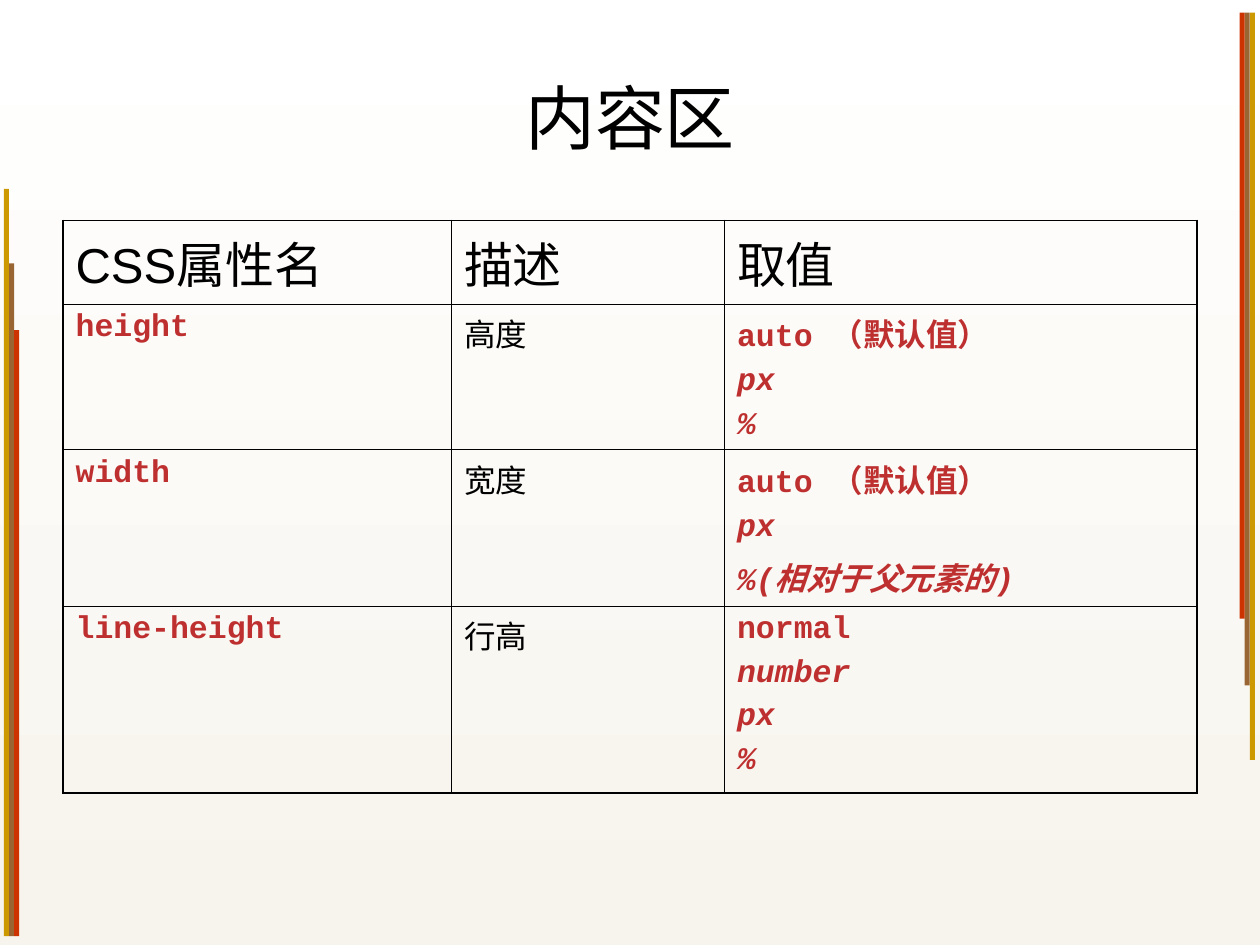
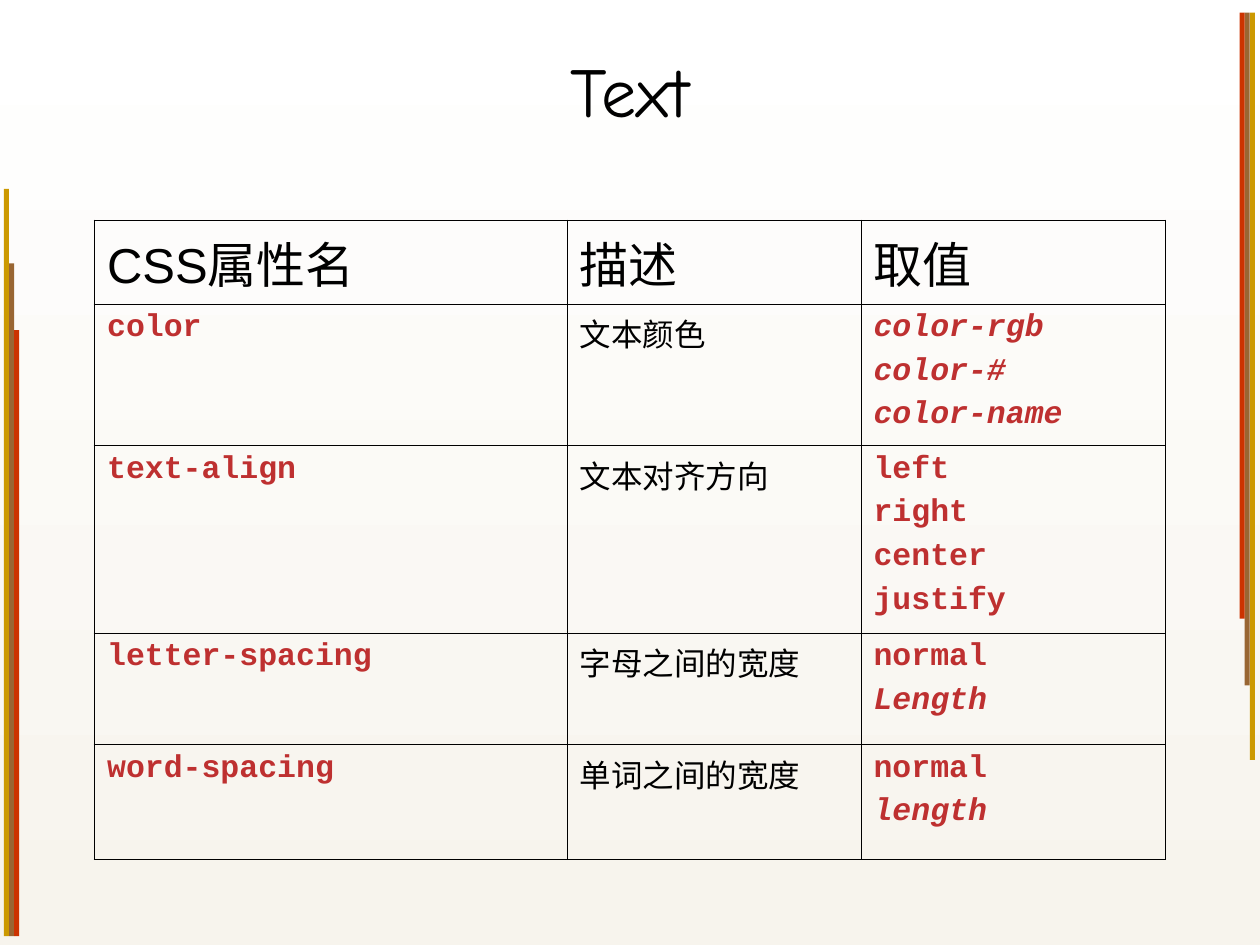
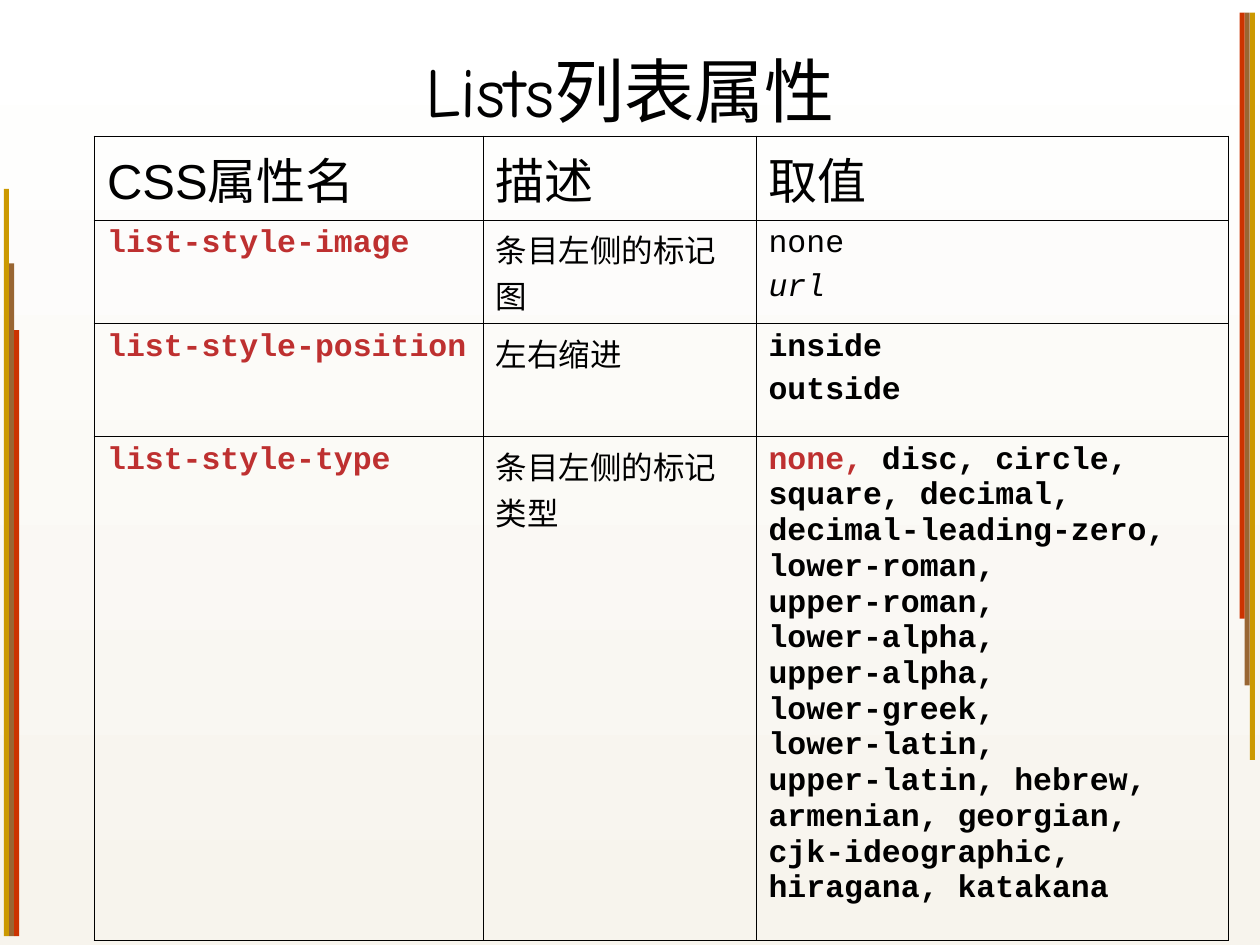
from collections import namedtuple

from lxml.etree import SubElement
from pptx import Presentation
from pptx.dml.color import RGBColor
from pptx.enum.shapes import MSO_SHAPE
from pptx.enum.text import MSO_ANCHOR, PP_ALIGN
from pptx.oxml.ns import qn
from pptx.util import Pt

# Colours
BLACK = RGBColor(0x00, 0x00, 0x00)
RED = RGBColor(0xBE, 0x30, 0x30)
WHITE = RGBColor(0xFF, 0xFF, 0xFF)
CREAM = RGBColor(0xF7, 0xF4, 0xED)
GOLD = RGBColor(0xCC, 0x99, 0x00)
BROWN = RGBColor(0x99, 0x66, 0x33)
ORANGE = RGBColor(0xCC, 0x33, 0x00)

# Text styles
Style = namedtuple("Style", "font size color bold italic")
TITLE = Style("Comic Neue", 40, BLACK, False, False)
HEADER = Style("Arial", 28, BLACK, False, False)
DESCRIPTION = Style("Arial", 18, BLACK, False, False)
CODE = Style("Courier New", 18, RED, True, False)
VARIABLE = CODE._replace(italic=True)
BLACK_CODE = CODE._replace(color=BLACK)
PLAIN_CODE = BLACK_CODE._replace(bold=False)
PLAIN_VARIABLE = PLAIN_CODE._replace(italic=True)

# Shared measures, in points
SLIDE_SIZE = (720, 540)
BARS = [(GOLD, 427), (BROWN, 384.5), (ORANGE, 346.3)]
BAR_WIDTH = 2.9
LEFT_BARS_X, LEFT_BARS_BOTTOM = 2.3, 535
RIGHT_BARS_X, RIGHT_BARS_TOP = 714.2, 7.2
TITLE_HEIGHT = 90
PARAGRAPH_GAP = 4.5
OUTER_LINE, INNER_LINE = 1.08, 0.45

HEADINGS = ["CSS属性名", "描述", "取值"]
LIST_TYPES = """disc, circle, square, decimal, decimal-leading-zero, lower-roman,
upper-roman,
lower-alpha,
upper-alpha,
lower-greek,
lower-latin,
upper-latin, hebrew, armenian, georgian, cjk-ideographic,
hiragana, katakana"""

# Table rows: property, description, values (a value is a list of runs)
BOX_ROWS = [
    ("height", "高度",
     [[("auto （默认值）", CODE)], [("px", VARIABLE)], [("%", VARIABLE)]]),
    ("width", "宽度",
     [[("auto （默认值）", CODE)], [("px", VARIABLE)],
      [("%(相对于父元素的)", VARIABLE)]]),
    ("line-height", "行高",
     [[("normal", CODE)], [("number", VARIABLE)], [("px", VARIABLE)],
      [("%", VARIABLE)]]),
]
TEXT_ROWS = [
    ("color", "文本颜色",
     [[(t, VARIABLE)] for t in ("color-rgb", "color-#", "color-name")]),
    ("text-align", "文本对齐方向",
     [[(t, CODE)] for t in ("left", "right", "center", "justify")]),
    ("letter-spacing", "字母之间的宽度",
     [[("normal", CODE)], [("Length", VARIABLE)]]),
    ("word-spacing", "单词之间的宽度",
     [[("normal", CODE)], [("length", VARIABLE)]]),
]
LIST_ROWS = [
    ("list-style-image", "条目左侧的标记图",
     [[("none", PLAIN_CODE)], [("url", PLAIN_VARIABLE)]]),
    ("list-style-position", "左右缩进",
     [[("inside", BLACK_CODE)], [("outside", BLACK_CODE)]]),
    ("list-style-type", "条目左侧的标记类型",
     [[("none, ", CODE), (LIST_TYPES, BLACK_CODE)]]),
]


def set_font(font, style):
    font.name = style.font
    font.size = Pt(style.size)
    font.color.rgb = style.color
    font.bold = style.bold
    font.italic = style.italic


def write_runs(p, runs):
    """Write (text, style) runs; the first style serves the whole paragraph."""
    base = runs[0][1]
    set_font(p.font, base)
    for text, style in runs:
        for i, line in enumerate(text.split("\n")):
            if i:
                p.add_line_break()
            r = p.add_run()
            r.text = line
            if style != base:
                set_font(r.font, style)


def set_borders(cell, widths):
    tc_pr = cell._tc.get_or_add_tcPr()
    for side, width in zip("LRTB", widths):
        ln = SubElement(tc_pr, qn(f"a:ln{side}"), w=str(Pt(width)))
        fill = SubElement(ln, qn("a:solidFill"))
        SubElement(fill, qn("a:srgbClr"), val=str(BLACK))


def fill_cell(cell, paragraphs, widths):
    set_borders(cell, widths)
    cell.fill.background()
    tf = cell.text_frame
    for i, runs in enumerate(paragraphs):
        p = tf.add_paragraph() if i else tf.paragraphs[0]
        if i:
            p.space_before = Pt(PARAGRAPH_GAP)
        write_runs(p, runs)


def add_property_table(s, left, top, col_widths, row_heights, rows):
    cells = [[[[(t, HEADER)]] for t in HEADINGS]]
    cells += [[[[(name, CODE)]], [[(text, DESCRIPTION)]], values]
              for name, text, values in rows]
    table = s.shapes.add_table(
        len(cells), len(col_widths), Pt(left), Pt(top),
        Pt(sum(col_widths)), Pt(sum(row_heights))).table
    table.first_row = table.horz_banding = False
    for column, width in zip(table.columns, col_widths):
        column.width = Pt(width)
    for row, height in zip(table.rows, row_heights):
        row.height = Pt(height)
    last_row, last_col = len(cells) - 1, len(col_widths) - 1
    for i, row in enumerate(cells):
        for j, paragraphs in enumerate(row):
            edges = (j == 0, j == last_col, i == 0, i == last_row)
            widths = [OUTER_LINE if e else INNER_LINE for e in edges]
            fill_cell(table.cell(i, j), paragraphs, widths)


def add_title_slide(prs, title, left, top):
    s = prs.slides.add_slide(prs.slide_layouts[5])
    sp = s.shapes.title
    sp.left, sp.top = Pt(left), Pt(top)
    sp.width, sp.height = Pt(SLIDE_SIZE[0] - 2 * left), Pt(TITLE_HEIGHT)
    tf = sp.text_frame
    tf.vertical_anchor = MSO_ANCHOR.MIDDLE
    p = tf.paragraphs[0]
    p.alignment = PP_ALIGN.CENTER
    write_runs(p, [(title, TITLE)])
    return s


def add_bar(group, left, top, height, color):
    sp = group.shapes.add_shape(
        MSO_SHAPE.RECTANGLE, Pt(left), Pt(top), Pt(BAR_WIDTH), Pt(height))
    sp.shadow.inherit = False
    sp.fill.solid()
    sp.fill.fore_color.rgb = color
    sp.line.fill.background()


def decorate_master(prs, s):
    """Give the master its background and the two groups of side bars."""
    master = prs.slide_master
    fill = master.background.fill
    fill.gradient()
    fill.gradient_angle = 270
    for stop, color, position in zip(fill.gradient_stops, (WHITE, CREAM), (0, 1)):
        stop.color.rgb = color
        stop.position = position

    # Groups are drawn on a slide, then moved behind the master's placeholders
    left_group, right_group = (s.shapes.add_group_shape() for _ in range(2))
    for i, (color, height) in enumerate(BARS):
        shift = i * BAR_WIDTH
        add_bar(left_group, LEFT_BARS_X + shift, LEFT_BARS_BOTTOM - height,
                height, color)
        add_bar(right_group, RIGHT_BARS_X - shift, RIGHT_BARS_TOP, height, color)
    for group in (right_group, left_group):
        master.shapes._spTree.insert(2, group._element)


def main():
    prs = Presentation()
    prs.slide_width, prs.slide_height = (Pt(v) for v in SLIDE_SIZE)

    # Content area
    s = add_title_slide(prs, "内容区", 36, 21.6)
    decorate_master(prs, s)
    add_property_table(s, 36, 126, [222, 156, 270], [41, 81, 81, 107], BOX_ROWS)

    # Text
    s = add_title_slide(prs, "Text", 54, 6)
    add_property_table(s, 54, 126, [270, 168, 174], [41, 81, 107, 64, 65.5],
                       TEXT_ROWS)

    # Lists
    s = add_title_slide(prs, "Lists列表属性", 36, 6)
    add_property_table(s, 54, 78, [222, 156, 270], [41, 55, 64.5, 288],
                       LIST_ROWS)

    prs.save("out.pptx")


if __name__ == "__main__":
    main()
